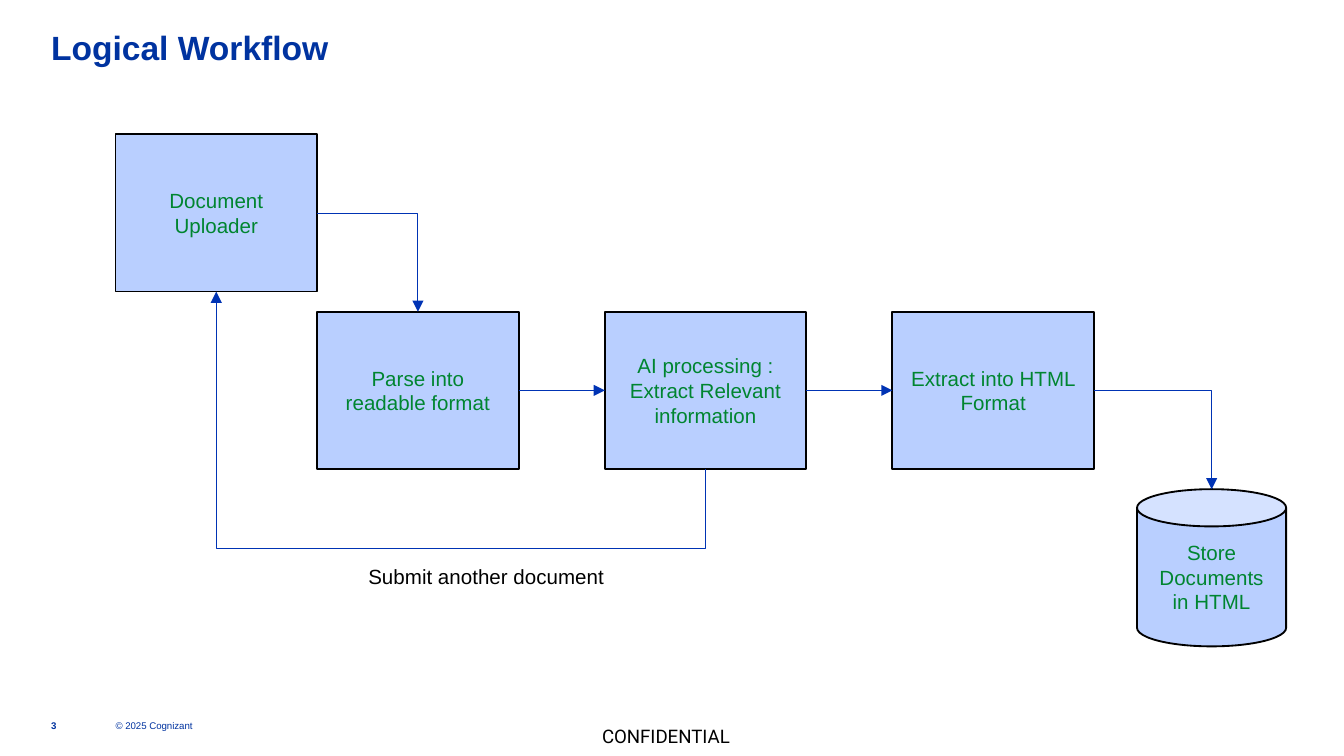
from lxml import etree
from pptx import Presentation
from pptx.dml.color import RGBColor
from pptx.enum import shapes, text
from pptx.oxml import ns
from pptx.util import Inches, Pt

NAVY = RGBColor(0x00, 0x33, 0xA0)
ARROW_BLUE = RGBColor(0x00, 0x33, 0xB4)
STEP_BLUE = RGBColor(0xB9, 0xCF, 0xFF)
GREEN = RGBColor(0x00, 0x85, 0x30)
BLACK = RGBColor(0x00, 0x00, 0x00)

STEP_WIDTH, STEP_HEIGHT = 1.5, 1.17
ROW_LEFT, ROW_TOP, ROW_PITCH = 2.36, 2.32, 2.14
RIGHT_SITE, LEFT_SITE = 3, 1
ELBOW = shapes.MSO_CONNECTOR.ELBOW


def add_run(paragraph, wording, size, color, font="Arial", bold=False):
    run = paragraph.add_run()
    run.text = wording
    run.font.name = font
    run.font.size = Pt(size)
    run.font.bold = bold
    run.font.color.rgb = color


def add_label(slide, box, wording, size, color, font="Arial", bold=False,
              anchor=text.MSO_ANCHOR.TOP, wrap=True):
    label = slide.shapes.add_textbox(*map(Inches, box))
    frame = label.text_frame
    frame.margin_left = frame.margin_right = 0
    frame.margin_top = frame.margin_bottom = 0
    frame.word_wrap = wrap
    frame.vertical_anchor = anchor
    add_run(frame.paragraphs[0], wording, size, color, font, bold)


def add_step(slide, left, top, wording, width=STEP_WIDTH,
             outline=shapes.MSO_SHAPE.RECTANGLE):
    step = slide.shapes.add_shape(
        outline, Inches(left), Inches(top), Inches(width), Inches(STEP_HEIGHT))
    step.shadow.inherit = False
    step.fill.solid()
    step.fill.fore_color.rgb = STEP_BLUE
    step.line.color.rgb = BLACK
    step.line.width = Pt(1)
    frame = step.text_frame
    frame.word_wrap = True
    frame.vertical_anchor = text.MSO_ANCHOR.MIDDLE
    paragraph = frame.paragraphs[0]
    paragraph.alignment = text.PP_ALIGN.CENTER
    add_run(paragraph, wording, 11, GREEN)
    return step


def add_arrow(slide, kind, start, end):
    arrow = slide.shapes.add_connector(kind, *start, *end)
    arrow.line.color.rgb = ARROW_BLUE
    arrow.line.width = Pt(0.5)
    properties = arrow._element.spPr
    line = properties.find(ns.qn("a:ln"))
    etree.SubElement(line, ns.qn("a:tailEnd"), type="triangle")
    etree.SubElement(properties, ns.qn("a:effectLst"))
    return arrow


def add_straight_arrow(slide, source, target):
    middle = source.top + source.height // 2
    arrow = add_arrow(slide, shapes.MSO_CONNECTOR.STRAIGHT,
                      (source.left + source.width, middle),
                      (target.left, middle))
    arrow.begin_connect(source, RIGHT_SITE)
    arrow.end_connect(target, LEFT_SITE)


def add_corner_arrow(slide, source, target):
    arrow = add_arrow(
        slide, ELBOW,
        (source.left + source.width, source.top + source.height // 2),
        (target.left + target.width // 2, target.top))
    arrow._element.spPr.find(ns.qn("a:prstGeom")).set("prst", "bentConnector2")


def add_return_arrow(slide, source, target, drop):
    start_x = source.left + source.width // 2
    start_y = source.top + source.height
    end_x = target.left + target.width // 2
    end_y = target.top + target.height
    center_x, center_y = (start_x + end_x) // 2, (start_y + end_y) // 2
    half_rise, half_run = (start_y - end_y) // 2, (start_x - end_x) // 2
    arrow = add_arrow(slide, ELBOW,
                      (center_x + half_rise, center_y - half_run),
                      (center_x - half_rise, center_y + half_run))
    properties = arrow._element.spPr
    properties.find(ns.qn("a:xfrm")).set("rot", str(90 * 60000))
    geometry = properties.find(ns.qn("a:prstGeom"))
    guides = geometry.find(ns.qn("a:avLst"))
    if guides is None:
        guides = etree.SubElement(geometry, ns.qn("a:avLst"))
    bend = -round(100000 * drop / (start_y - end_y))
    etree.SubElement(guides, ns.qn("a:gd"), name="adj1", fmla=f"val {bend}")


def main():
    deck = Presentation()
    deck.slide_width = Inches(10)
    deck.slide_height = deck.slide_width * 9 // 16
    slide = deck.slides.add_slide(deck.slide_layouts[6])

    add_label(slide, (4.48, 5.39, 1.07, 0.17), "CONFIDENTIAL", 10, BLACK, "Roboto")
    add_label(slide, (0.38, 0.2, 9.29, 0.4), "Logical Workflow", 18, NAVY, bold=True)
    bottom = text.MSO_ANCHOR.BOTTOM
    add_label(slide, (0.86, 5.28, 0.98, 0.16), "© 2025 Cognizant", 5.2, NAVY,
              anchor=bottom, wrap=False)
    add_label(slide, (0.38, 5.28, 0.29, 0.16), "3", 5.2, NAVY, bold=True,
              anchor=bottom, wrap=False)

    row_wordings = ("Parse into readable format",
                    "AI processing : Extract Relevant information",
                    "Extract into HTML Format")
    parsing, processing, extraction = [
        add_step(slide, ROW_LEFT + i * ROW_PITCH, ROW_TOP, wording)
        for i, wording in enumerate(row_wordings)]
    add_straight_arrow(slide, parsing, processing)
    add_straight_arrow(slide, processing, extraction)

    uploader = add_step(slide, 0.86, 1, "Document Uploader")
    store = add_step(slide, 8.46, 3.64, "Store Documents in HTML", 1.11,
                     shapes.MSO_SHAPE.CAN)
    add_corner_arrow(slide, uploader, parsing)
    add_corner_arrow(slide, extraction, store)
    add_return_arrow(slide, processing, uploader, Inches(0.59))
    add_label(slide, (2.74, 4.2, 2.51, 0.19), "Submit another document", 11, BLACK)

    deck.save("out.pptx")


if __name__ == "__main__":
    main()
